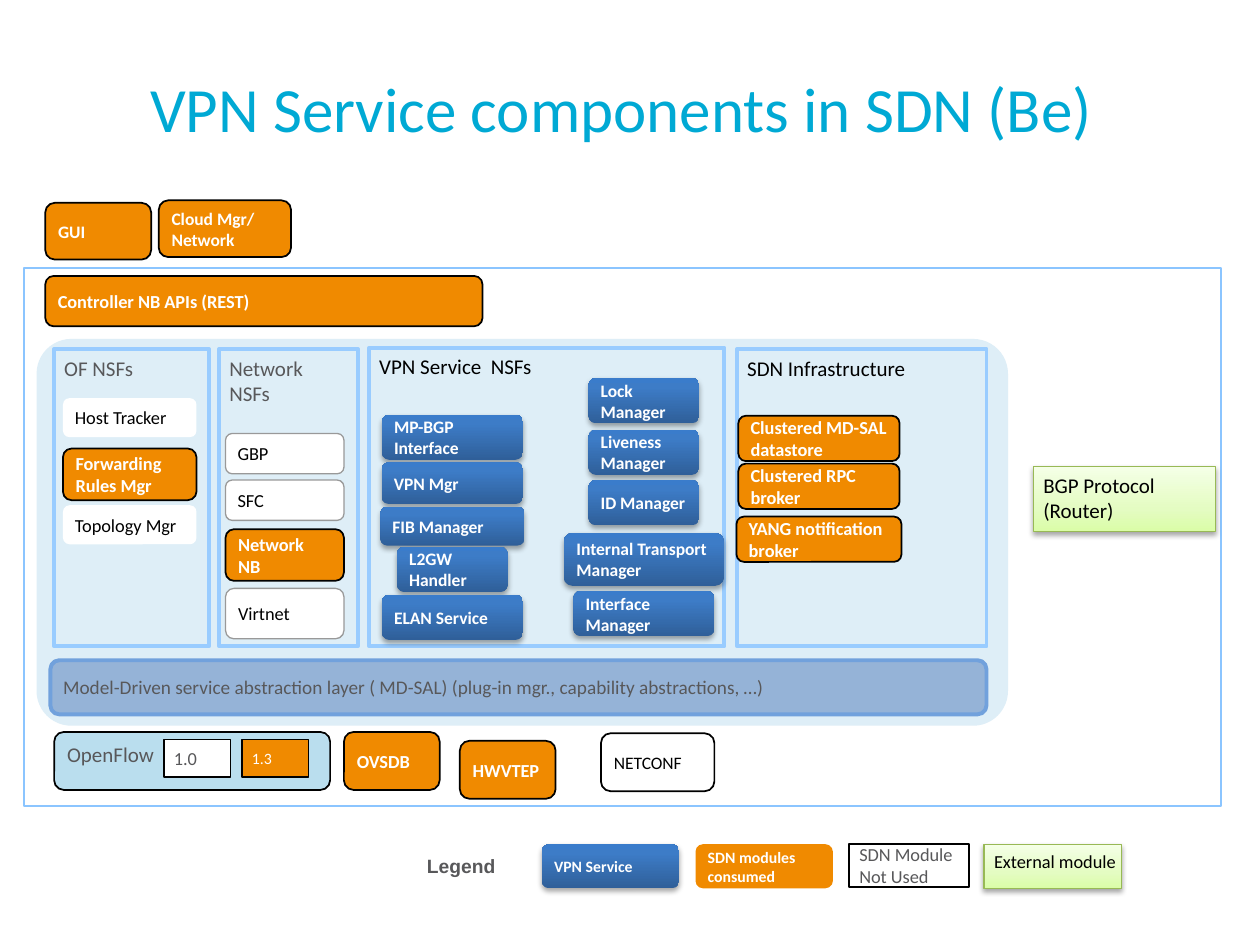
from lxml import etree
from pptx import Presentation, util as u
from pptx.dml.color import RGBColor
from pptx.enum import shapes, text
from pptx.oxml.ns import qn

# Looks: fill, line, line width, text colour, bold, middle, wrap, rectangle
BLUE = [(0, "2F5F99"), (80, "3D7CC7"), (100, "3A7CCB")]
GREEN = [(0, "DAFDA7"), (35, "E4FCC2"), (100, "F5FFE7")]
GREY, BLACK, WHITE, ORANGE = "58585A", "000000", "FFFFFF", "F08A00"
LOOKS = {
    "frame": (None, "8BC5FF", 1, BLACK, False, True, True, True),
    "back": ("DEEEF7", None, 0, BLACK, False, True, True, False),
    "panel": (None, "99CCFF", 2.25, GREY, False, False, True, True),
    "group": (None, "99CCFF", 2.25, BLACK, False, False, False, True),
    "layer": ("95B3D7", "71A1DC", 2.25, GREY, False, True, True, False),
    "flow": ("BADEEE", BLACK, 1, GREY, False, False, True, False),
    "vpn": (BLUE, None, 0, WHITE, True, True, True, False),
    "used": (ORANGE, BLACK, 1, WHITE, True, True, True, False),
    "key": (ORANGE, None, 0, WHITE, True, True, True, False),
    "on": (ORANGE, BLACK, 1, WHITE, False, True, True, True),
    "off": (WHITE, BLACK, 1, GREY, False, True, True, True),
    "plain": (WHITE, None, 0, BLACK, False, True, True, False),
    "thin": (WHITE, "999999", 0.75, BLACK, False, True, True, False),
    "spare": (WHITE, BLACK, 1, BLACK, False, True, True, False),
    "outer": (GREEN, "98B955", 0.75, BLACK, False, False, False, True),
}

# Single parts: look, left, top, width, height, size, words
PARTS = [
    ("back", 0.29, 2.69, 7.71, 3.07, 12, ""),
    ("frame", 0.19, 2.13, 9.5, 4.27, 12, ""),
    # Panels
    ("panel", 0.43, 2.77, 1.23, 2.36, 12, "OF NSFs"),
    ("panel", 1.74, 2.77, 1.1, 2.36, 12, "Network NSFs"),
    ("group", 2.93, 2.76, 2.82, 2.37, 12, "VPN Service  NSFs"),
    ("group", 5.85, 2.77, 1.98, 2.36, 12, "SDN Infrastructure"),
    ("layer", 0.4, 5.24, 7.43, 0.43, 11,
     "Model-Driven service abstraction layer ( MD-SAL) "
     "(plug-in mgr., capability abstractions, …)"),
    # North side
    ("used", 0.36, 1.61, 0.84, 0.45, 10, "GUI"),
    ("used", 1.26, 1.59, 1.05, 0.45, 10, "Cloud Mgr/\nNetwork"),
    ("used", 0.36, 2.19, 3.47, 0.4, 10.5, "Controller NB APIs (REST)"),
    # South side
    ("flow", 0.43, 5.81, 2.19, 0.46, 12, "OpenFlow"),
    ("off", 1.3, 5.87, 0.53, 0.3, 10.5, "1.0"),
    ("on", 1.92, 5.87, 0.53, 0.3, 9, "1.3"),
    ("used", 2.73, 5.81, 0.76, 0.46, 10.5, "OVSDB"),
    ("used", 3.65, 5.88, 0.76, 0.46, 10.5, "HWVTEP"),
    ("spare", 4.77, 5.82, 0.9, 0.46, 10, "NETCONF"),
    ("outer", 8.2, 3.7, 1.45, 0.52, 12, "BGP Protocol\n(Router)"),
    # Legend
    ("vpn", 4.3, 6.7, 1.09, 0.35, 9, "VPN Service"),
    ("key", 5.52, 6.7, 1.09, 0.35, 9, "SDN modules consumed"),
    ("off", 6.74, 6.7, 0.95, 0.34, 10.5, "SDN Module Not Used"),
    ("outer", 7.81, 6.7, 1.09, 0.35, 10.5, "External module"),
]

# Stacks: middle, size, then look, top, width, height, words
STACKS = [
    (1.03, 10.5, [("plain", 3.16, 1.06, 0.31, "Host Tracker"),
                  ("used", 3.56, 1.06, 0.41, "Forwarding Rules Mgr"),
                  ("plain", 4.01, 1.06, 0.31, "Topology Mgr")]),
    (2.26, 10.5, [("thin", 3.44, 0.94, 0.32, "GBP"),
                  ("thin", 3.81, 0.94, 0.32, "SFC"),
                  ("used", 4.2, 0.94, 0.41, "Network\nNB"),
                  ("thin", 4.67, 0.94, 0.4, "Virtnet")]),
    (3.59, 10, [("vpn", 3.29, 1.12, 0.36, "MP-BGP Interface"),
                ("vpn", 3.67, 1.12, 0.33, "VPN Mgr"),
                ("vpn", 4.02, 1.14, 0.31, "FIB Manager"),
                ("vpn", 4.34, 0.88, 0.36, "L2GW Handler"),
                ("vpn", 4.72, 1.12, 0.36, "ELAN Service")]),
    (5.11, 10, [("vpn", 3, 0.88, 0.36, "Lock Manager"),
                ("vpn", 3.41, 0.88, 0.36, "Liveness Manager"),
                ("vpn", 3.81, 0.88, 0.36, "ID Manager"),
                ("vpn", 4.23, 1.27, 0.42, "Internal Transport Manager"),
                ("vpn", 4.69, 1.12, 0.36, "Interface Manager")]),
    (6.5, 10.5, [("used", 3.3, 1.28, 0.36, "Clustered MD-SAL datastore"),
                 ("used", 3.68, 1.28, 0.36, "Clustered RPC broker"),
                 ("used", 4.1, 1.31, 0.36, "YANG notification broker")]),
]

deck = Presentation()
deck.slide_width, deck.slide_height = u.Inches(10), u.Inches(7.5)
slide = deck.slides.add_slide(deck.slide_layouts[6])


def tint(code):
    return RGBColor.from_string(code)


def node(home, tag, **vals):
    return etree.SubElement(home, qn(tag), {k: str(v) for k, v in vals.items()})


def shade(shape, stops):
    """Upward gradient with a soft shadow below."""
    shape.fill.gradient()
    shape.fill.gradient_angle = 90
    props = shape._element.spPr
    bed = props.find(".//" + qn("a:gsLst"))
    for old in list(bed):
        bed.remove(old)
    for pos, code in stops:
        node(node(bed, "a:gs", pos=pos * 1000), "a:srgbClr", val=code)
    cast = node(props.find(qn("a:effectLst")), "a:outerShdw", blurRad=u.Pt(3.1),
                dist=u.Pt(1.8), dir=5400000, rotWithShape=0)
    node(node(cast, "a:srgbClr", val=BLACK), "a:alpha", val=35000)


def write(shape, words, size, color, bold, font="Calibri",
          align=text.PP_ALIGN.LEFT, gap=None):
    frame = shape.text_frame
    for i, line in enumerate(words.split("\n")):
        para = frame.add_paragraph() if i else frame.paragraphs[0]
        para.alignment = align
        if gap:
            para.line_spacing = gap
        run = para.add_run()
        run.text = line
        run.font.size, run.font.name, run.font.bold = u.Pt(size), font, bold
        run.font.color.rgb = tint(color)


def draw(look, x, y, w, h, size, words):
    fill, edge, thick, color, bold, mid, wrap, square = LOOKS[look]
    kind = shapes.MSO_SHAPE.RECTANGLE if square else shapes.MSO_SHAPE.ROUNDED_RECTANGLE
    shape = slide.shapes.add_shape(kind, *map(u.Inches, (x, y, w, h)))
    shape.shadow.inherit = False
    if look == "back":
        shape.adjustments[0] = 0.09
    if edge:
        shape.line.color.rgb, shape.line.width = tint(edge), u.Pt(thick)
    else:
        shape.line.fill.background()
    if isinstance(fill, list):
        shade(shape, fill)
    elif fill:
        shape.fill.solid()
        shape.fill.fore_color.rgb = tint(fill)
    else:
        shape.fill.background()
    frame = shape.text_frame
    frame.word_wrap = wrap
    frame.vertical_anchor = text.MSO_ANCHOR.MIDDLE if mid else text.MSO_ANCHOR.TOP
    frame.margin_left = frame.margin_right = u.Inches(0.08)
    frame.margin_top = frame.margin_bottom = u.Inches(0.05)
    if words:
        write(shape, words, size, color, bold)


def label(x, y, w, h):
    box = slide.shapes.add_textbox(*map(u.Inches, (x, y, w, h)))
    box.text_frame.word_wrap = True
    return box


# Boxes
for part in PARTS:
    draw(*part)
for mid, size, items in STACKS:
    for look, y, w, h, words in items:
        draw(look, mid - w / 2, y, w, h, size, words)

# Title and legend heading
title = label(0.02, 0.26, 9.82, 1.19)
title.text_frame.vertical_anchor = text.MSO_ANCHOR.MIDDLE
write(title, "VPN Service components in SDN (Be)", 36, "00A9D4", False,
      align=text.PP_ALIGN.CENTER)
write(label(3.29, 6.75, 0.88, 0.25), "Legend", 11, GREY, True, "Arial", gap=0.9)

deck.save("out.pptx")
